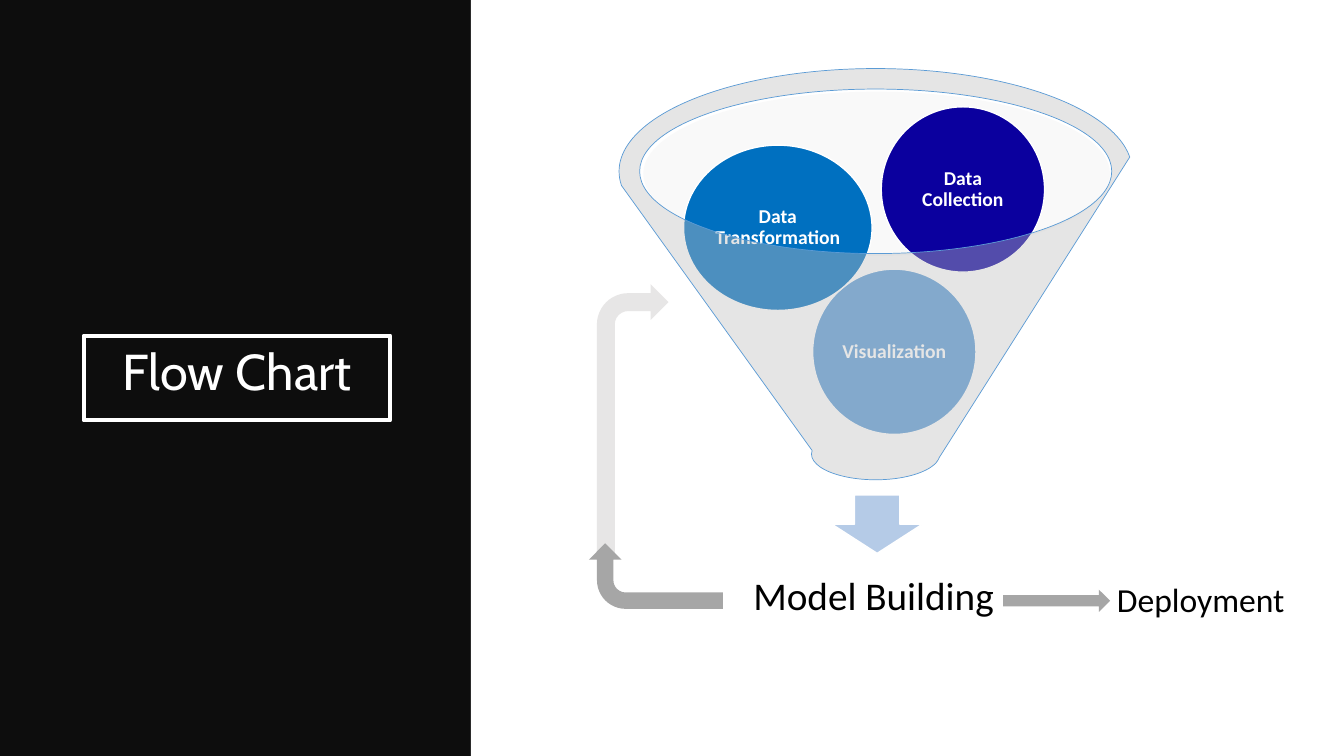
from dataclasses import dataclass

from lxml.etree import SubElement
from pptx import Presentation
from pptx.dml.color import RGBColor
from pptx.enum.shapes import MSO_SHAPE as Shape
from pptx.enum.text import MSO_ANCHOR as Anchor, PP_ALIGN as Align
from pptx.oxml.ns import qn
from pptx.util import Inches, Pt


@dataclass(frozen=True)
class Theme:
    dark: str = "0D0D0D"
    white: str = "FFFFFF"
    black: str = "000000"
    rim: str = "F2F2F2"
    funnel: str = "BFBFBF"
    outline: str = "5B9BD5"
    down_arrow: str = "B5CBE7"
    light_arrow: str = "E7E6E6"
    gray_arrow: str = "A6A6A6"
    visualization: str = "5B9BD5"
    transformation: str = "0070C0"
    collection: str = "0B009E"
    title_font: str = "Cabin"
    body_font: str = "Calibri"
    title_size: int = 36
    result_size: int = 28
    step_size: int = 24
    ball_size: int = 14


def write_text(box, text, *, font, size, color, bold=False, align=Align.CENTER,
               anchor=Anchor.MIDDLE, spacing=None, insets=(0.1, 0.05)):
    frame = box.text_frame
    frame.word_wrap = True
    frame.vertical_anchor = anchor
    frame.margin_left = frame.margin_right = Inches(insets[0])
    frame.margin_top = frame.margin_bottom = Inches(insets[1])
    para = frame.paragraphs[0]
    para.alignment = align
    if spacing:
        para.line_spacing = spacing
    span = para.add_run()
    span.text = text
    span.font.name = font
    span.font.size = Pt(size)
    span.font.bold = bold
    span.font.color.rgb = RGBColor.from_string(color)


class FlowSlide:
    def __init__(self, deck, theme):
        self.theme = theme
        self.page = deck.slides.add_slide(deck.slide_layouts[6])
        background = self.page.background.fill
        background.solid()
        background.fore_color.rgb = RGBColor.from_string(theme.dark)

    def shape(self, kind, place, fill=None, opacity=100, line=None, width=1, turn=0):
        box = self.page.shapes.add_shape(kind, *map(Inches, place))
        box.shadow.inherit = False
        box.rotation = turn
        if fill:
            box.fill.solid()
            box.fill.fore_color.rgb = RGBColor.from_string(fill)
            if opacity < 100:
                color = box.fill._xPr.find(qn("a:solidFill"))[0]
                SubElement(color, qn("a:alpha"), val=str(opacity * 1000))
        else:
            box.fill.background()
        if line:
            box.line.color.rgb = RGBColor.from_string(line)
            box.line.width = Pt(width)
        else:
            box.line.fill.background()
        return box

    def label(self, place, text, size, **style):
        box = self.page.shapes.add_textbox(*map(Inches, place))
        write_text(box, text, font=self.theme.body_font, size=size,
                   color=self.theme.black, **style)

    def title(self, place, text):
        theme = self.theme
        box = self.shape(Shape.RECTANGLE, place, line=theme.white, width=3)
        write_text(box, text, font=theme.title_font, size=theme.title_size,
                   color=theme.white, anchor=Anchor.TOP)

    def ball(self, place, text, fill):
        theme = self.theme
        box = self.shape(Shape.OVAL, place, fill, line=theme.white)
        write_text(box, text, font=theme.body_font, size=theme.ball_size,
                   color=theme.white, bold=True, spacing=0.9, insets=(0.02, 0.02))


def main():
    deck = Presentation()
    deck.slide_width, deck.slide_height = Inches(13.33), Inches(7.5)
    theme = Theme()
    slide = FlowSlide(deck, theme)

    # Title and white panel
    slide.title((0.83, 3.33, 3.04, 0.84), "Flow Chart")
    slide.shape(Shape.RECTANGLE, (4.67, 0, 8.66, 7.5), theme.white)

    # Funnel opening, outlet arrow and result
    slide.shape(Shape.OVAL, (6.38, 0.91, 4.63, 1.63), theme.rim, opacity=40)
    slide.shape(Shape.DOWN_ARROW, (8.25, 4.91, 0.9, 0.58), theme.down_arrow,
                line=theme.white)
    slide.label((7.15, 5.55, 3.03, 0.77), "Model Building", theme.result_size,
                spacing=0.9, insets=(0.28, 0.28))

    # Steps inside the funnel
    for left, top, width, text, fill in (
        (8.06, 2.67, 1.62, "Visualization", theme.visualization),
        (6.78, 1.44, 1.87, "Data Transformation", theme.transformation),
        (8.74, 1.06, 1.62, "Data Collection", theme.collection),
    ):
        slide.ball((left, top, width, 1.64), text, fill)
    slide.shape(Shape.FUNNEL, (6.14, 0.68, 5.09, 4.08), theme.funnel, opacity=40,
                line=theme.outline, width=0.5)

    # Feedback loop and deployment
    slide.shape(Shape.BENT_ARROW, (5.92, 2.82, 0.71, 2.67), theme.light_arrow)
    slide.shape(Shape.BENT_ARROW, (6.18, 5.05, 0.65, 1.33), theme.gray_arrow, turn=270)
    slide.shape(Shape.RIGHT_ARROW, (9.95, 5.85, 1.06, 0.22), theme.gray_arrow)
    slide.label((10.98, 5.69, 1.9, 0.5), "Deployment", theme.step_size,
                align=Align.LEFT, anchor=Anchor.TOP)

    deck.save("out.pptx")


if __name__ == "__main__":
    main()
